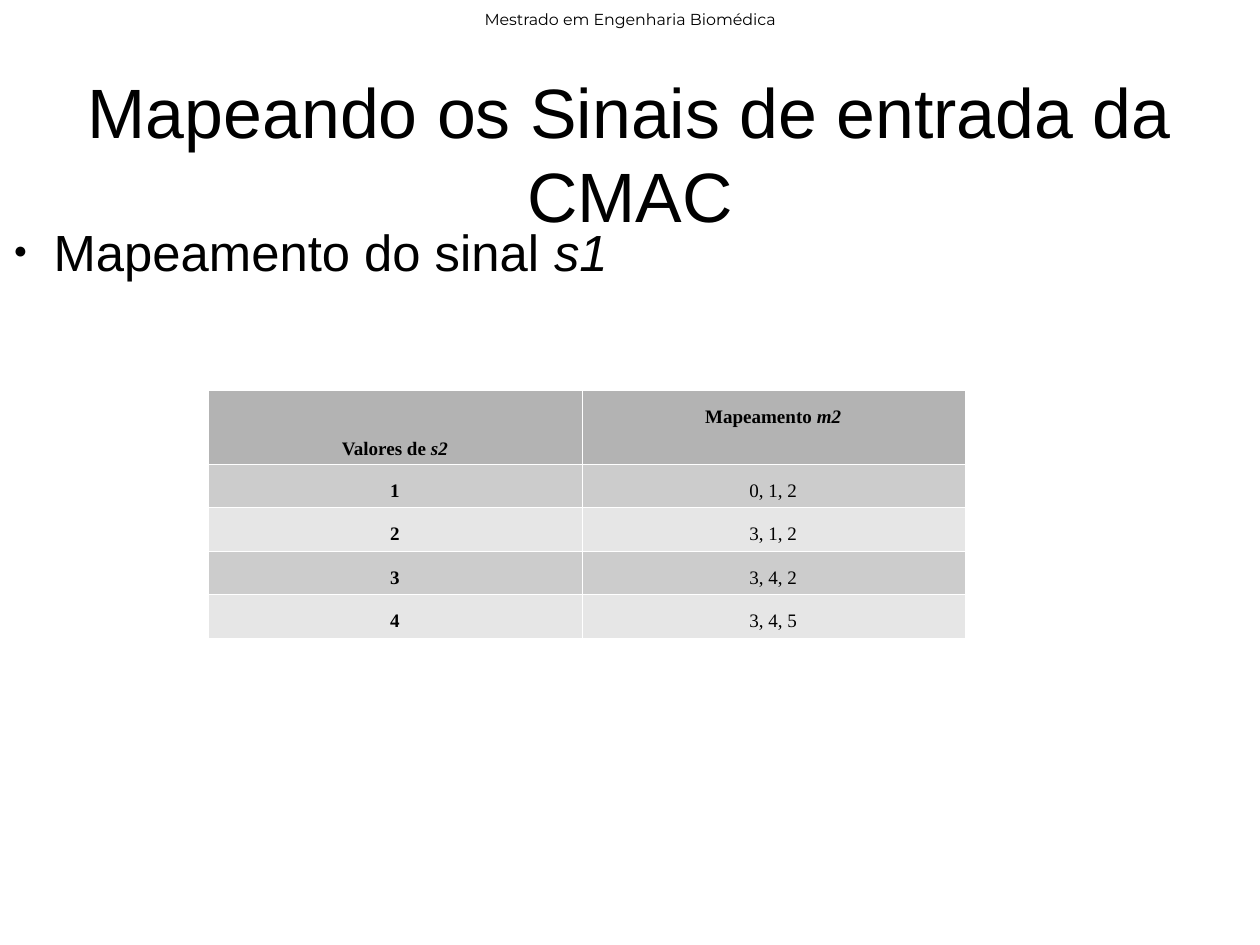
from dataclasses import dataclass

from lxml import etree
from pptx import Presentation
from pptx.dml.color import RGBColor
from pptx.enum.text import MSO_ANCHOR, MSO_AUTO_SIZE, PP_ALIGN
from pptx.oxml.ns import qn
from pptx.util import Inches, Pt

BLACK = RGBColor(0x00, 0x00, 0x00)
WHITE = RGBColor(0xFF, 0xFF, 0xFF)
HEADER_GRAY = RGBColor(0xB3, 0xB3, 0xB3)
BAND_GRAYS = (RGBColor(0xCC, 0xCC, 0xCC), RGBColor(0xE6, 0xE6, 0xE6))
TOP, MIDDLE = MSO_ANCHOR.TOP, MSO_ANCHOR.MIDDLE
LEFT, CENTER = PP_ALIGN.LEFT, PP_ALIGN.CENTER
GROW, FIXED = MSO_AUTO_SIZE.SHAPE_TO_FIT_TEXT, MSO_AUTO_SIZE.NONE

# The page is 28 x 21 cm, rounded to quarter points.
SLIDE_WIDTH, SLIDE_HEIGHT = Pt(793.75), Pt(595.25)
COLUMN_WIDTHS = (3.27, 3.35)
ROW_HEIGHTS = (0.65, 0.38, 0.38, 0.38, 0.38)
BORDER_WIDTH = Pt(0.06)


@dataclass(frozen=True)
class Label:
    text: str
    top: float
    height: float
    size: float
    font: str = "Arial"
    italic_text: str = ""
    align: PP_ALIGN = CENTER
    anchor: MSO_ANCHOR = MIDDLE
    auto_size: MSO_AUTO_SIZE = GROW
    margins: tuple[float, float] = (0, 0)


@dataclass(frozen=True)
class CellText:
    text: str
    italic_text: str = ""
    bold: bool = True
    margin_top: float = 0.05


COURSE = Label("Mestrado em Engenharia Biomédica", 0.02, 0.3, 10, "Montserrat",
               margins=(0.1, 0.05))
TITLE = Label("Mapeando os Sinais de entrada da CMAC", 0.65, 1.37, 44)
TOPIC = Label("Mapeamento do sinal ", 1.93, 6.33, 32, italic_text="s1",
              align=LEFT, anchor=TOP, auto_size=FIXED)

HEADER = (CellText("Valores de ", "s2", margin_top=0.33),
          CellText("Mapeamento ", "m2"))
MAPPINGS = ("0, 1, 2", "3, 1, 2", "3, 4, 2", "3, 4, 5")


def write_text(paragraph, text: str, italic_text: str, font: str,
               size: float, bold: bool = False) -> None:
    paragraph.font.name = font
    paragraph.font.size = Pt(size)
    paragraph.font.bold = bold
    paragraph.font.color.rgb = BLACK
    paragraph.add_run().text = text
    if italic_text:
        run = paragraph.add_run()
        run.text = italic_text
        run.font.italic = True


def add_label(slide, label: Label):
    box = slide.shapes.add_textbox(0, Inches(label.top), SLIDE_WIDTH,
                                   Inches(label.height))
    frame = box.text_frame
    frame.word_wrap = True
    frame.auto_size = label.auto_size
    frame.vertical_anchor = label.anchor
    horizontal, vertical = label.margins
    frame.margin_left = frame.margin_right = Inches(horizontal)
    frame.margin_top = frame.margin_bottom = Inches(vertical)
    paragraph = frame.paragraphs[0]
    paragraph.alignment = label.align
    write_text(paragraph, label.text, label.italic_text, label.font, label.size)
    return paragraph


def add_bullet(paragraph) -> None:
    paragraph.space_after = Pt(14.2)
    properties = paragraph._p.get_or_add_pPr()
    properties.set("marL", str(Inches(0.47)))
    properties.set("indent", str(Inches(-0.35)))
    color = etree.Element(qn("a:buClr"))
    etree.SubElement(color, qn("a:srgbClr"), val=str(BLACK))
    size = etree.Element(qn("a:buSzPct"), val="45000")
    font = etree.Element(qn("a:buFont"), typeface="Arial")
    character = etree.Element(qn("a:buChar"), char="●")
    default_font = properties.find(qn("a:defRPr"))
    for element in (color, size, font, character):
        default_font.addprevious(element)


def set_borders(cell) -> None:
    properties = cell._tc.get_or_add_tcPr()
    for index, side in enumerate(("lnL", "lnR", "lnT", "lnB")):
        line = etree.Element(qn(f"a:{side}"), w=str(BORDER_WIDTH))
        fill = etree.SubElement(line, qn("a:solidFill"))
        etree.SubElement(fill, qn("a:srgbClr"), val=str(WHITE))
        properties.insert(index, line)


def fill_cell(cell, content: CellText, color: RGBColor) -> None:
    cell.margin_left = cell.margin_right = Inches(0.1)
    cell.margin_top = Inches(content.margin_top)
    cell.margin_bottom = Inches(0.02)
    cell.fill.solid()
    cell.fill.fore_color.rgb = color
    set_borders(cell)
    paragraph = cell.text_frame.paragraphs[0]
    paragraph.alignment = CENTER
    paragraph.line_spacing = 1.5
    paragraph.space_after = Pt(6.8)
    write_text(paragraph, content.text, content.italic_text,
               "Times New Roman", 12, content.bold)


def add_mapping_table(slide) -> None:
    rows = [HEADER] + [(CellText(str(value)), CellText(mapping, bold=False))
                       for value, mapping in enumerate(MAPPINGS, start=1)]
    table = slide.shapes.add_table(
        len(rows), len(COLUMN_WIDTHS), Inches(1.82), Inches(3.41),
        Inches(sum(COLUMN_WIDTHS)), Inches(sum(ROW_HEIGHTS))).table
    for column, width in zip(table.columns, COLUMN_WIDTHS):
        column.width = Inches(width)
    for row, height in zip(table.rows, ROW_HEIGHTS):
        row.height = Inches(height)
    for row_index, contents in enumerate(rows):
        color = BAND_GRAYS[(row_index - 1) % 2] if row_index else HEADER_GRAY
        for column_index, content in enumerate(contents):
            fill_cell(table.cell(row_index, column_index), content, color)


def main() -> None:
    presentation = Presentation()
    presentation.slide_width = SLIDE_WIDTH
    presentation.slide_height = SLIDE_HEIGHT
    slide = presentation.slides.add_slide(presentation.slide_layouts[6])
    add_label(slide, COURSE)
    add_label(slide, TITLE)
    add_bullet(add_label(slide, TOPIC))
    add_mapping_table(slide)
    presentation.save("out.pptx")


if __name__ == "__main__":
    main()
